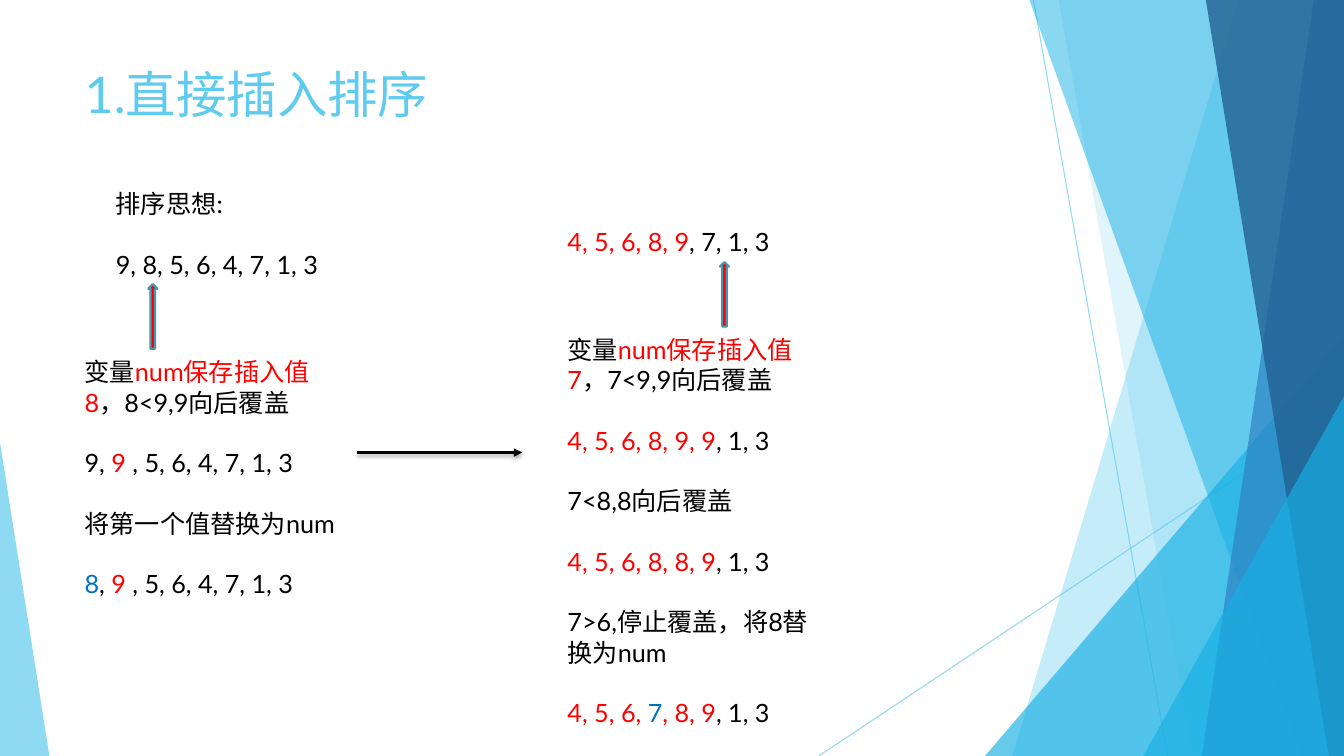
from lxml import etree
from pptx import Presentation
from pptx import util as u
from pptx.dml import color
from pptx.enum import shapes, text
from pptx.oxml import ns

WIDTH, HEIGHT = 13.33, 7.5
FONT = "Lato"
SKY, AZURE, OCEAN, NAVY = "5FCBEF", "17B0E4", "2E83C3", "226292"
BLACK, RED, BLUE, TEAL = "000000", "FF0000", "0070C0", "4696B1"
LINE_PITCH = 21.6


def rgb(code):
    return color.RGBColor.from_string(code)


def child(parent, tag, **attributes):
    return etree.SubElement(parent, ns.qn(tag), {k: str(v) for k, v in attributes.items()})


def paint(fill, code, opacity=100):
    """Fill with a solid colour; opacity is a percentage."""
    fill.solid()
    fill.fore_color.rgb = rgb(code)
    if opacity < 100:
        for node in fill._xPr.iter(ns.qn("a:srgbClr")):
            child(node, "a:alpha", val=opacity * 1000)


def add_span(para, words, size=18, code=BLACK):
    span = para.add_run()
    span.text = words
    span.font.name = FONT
    span.font.size = u.Pt(size)
    span.font.color.rgb = rgb(code)


def add_line(page, start, end, code, weight, opacity=100):
    line = page.shapes.add_connector(
        shapes.MSO_CONNECTOR.STRAIGHT, *map(u.Inches, start + end))
    line.line.width = u.Pt(weight)
    paint(line.line.fill, code, opacity)
    return line, child(line._element.spPr, "a:effectLst")


def add_panel(page, top_x, bottom_x, code, opacity):
    """Full-height panel from a slanted left edge to the right slide edge."""
    corners = [(top_x, 0), (WIDTH, 0), (WIDTH, HEIGHT), (bottom_x, HEIGHT)]
    points = [(u.Inches(x), u.Inches(y)) for x, y in corners]
    builder = page.shapes.build_freeform(*points[0])
    builder.add_line_segments(points[1:], close=True)
    panel = builder.convert_to_shape()
    panel.shadow.inherit = False
    paint(panel.fill, code, opacity)
    panel.line.fill.background()


def add_corner(page, left, top, width, apex, code, opacity):
    """Right triangle standing on the slide's bottom edge."""
    corner = page.shapes.add_shape(
        shapes.MSO_SHAPE.ISOSCELES_TRIANGLE,
        *map(u.Inches, (left, top, width, HEIGHT - top)))
    corner.adjustments[0] = apex
    corner.shadow.inherit = False
    paint(corner.fill, code, opacity)
    corner.line.fill.background()


def add_backdrop(page):
    add_line(page, (10.25, 0), (11.58, HEIGHT), SKY, 0.75, 70)
    add_line(page, (WIDTH, 4.03), (8.12, HEIGHT), SKY, 0.75, 70)
    add_panel(page, 12.28, 10.04, SKY, 36)
    add_panel(page, 10.5, 11.83, SKY, 20)
    add_corner(page, 9.77, 3.33, 3.56, 1, AZURE, 66)
    add_panel(page, 10.21, 12.91, AZURE, 50)
    add_panel(page, 13.03, 11.92, OCEAN, 70)
    add_panel(page, 11.96, 13.18, NAVY, 80)
    add_corner(page, 11.34, 3.93, 1.99, 1, AZURE, 66)
    add_corner(page, 0, 4.39, 0.49, 0, SKY, 70)


def add_title(page, words, left, top, width, height):
    title = page.shapes.title
    title.left, title.top, title.width, title.height = map(
        u.Inches, (left, top, width, height))
    frame = title.text_frame
    frame.auto_size = text.MSO_AUTO_SIZE.NONE
    frame.vertical_anchor = text.MSO_ANCHOR.TOP
    para = frame.paragraphs[0]
    para.alignment = text.PP_ALIGN.LEFT
    add_span(para, words, size=36, code=SKY)


def add_steps(page, steps, left, top, width, height):
    """Text box of steps one line apart; each step is a list of (words, colour)."""
    box = page.shapes.add_textbox(*map(u.Inches, (left, top, width, height)))
    frame = box.text_frame
    frame.word_wrap = True
    for index, step in enumerate(steps):
        para = frame.add_paragraph() if index else frame.paragraphs[0]
        if index:
            para.space_before = u.Pt(LINE_PITCH)
        for words, code in step:
            add_span(para, words, code=code)


def add_pointer(page, left, top):
    pointer = page.shapes.add_shape(
        shapes.MSO_SHAPE.UP_ARROW, *map(u.Inches, (left, top, 0.09, 0.64)))
    pointer.shadow.inherit = False
    paint(pointer.fill, RED)
    paint(pointer.line.fill, TEAL)
    pointer.line.width = u.Pt(1.5)


def add_next_arrow(page, start, end):
    arrow, effects = add_line(page, start, end, BLACK, 2)
    child(arrow.line._get_or_add_ln(), "a:tailEnd", type="triangle")
    shadow = child(effects, "a:outerShdw", blurRad=u.Pt(3), dist=u.Pt(2),
                   dir=90 * 60000, rotWithShape=0)
    child(child(shadow, "a:srgbClr", val=BLACK), "a:alpha", val=35000)


def add_first_pass(page, left, top):
    shifted = [("9 ", RED), (", 5, 6, 4, 7, 1, 3", BLACK)]
    add_steps(page, [
        [("排序思想:", BLACK)],
        [("9, 8, 5, 6, 4, 7, 1, 3", BLACK)],
    ], left + 0.31, top, 2.8, 1.31)
    add_pointer(page, left + 0.73, top + 1)
    add_steps(page, [
        [("变量", BLACK), ("num保存插入值8", RED), ("，8<9,9向后覆盖", BLACK)],
        [("9, ", BLACK)] + shifted,
        [("将第一个值替换为num", BLACK)],
        [("8", BLUE), (", ", BLACK)] + shifted,
    ], left, top + 1.67, 2.8, 3.13)


def add_later_pass(page, left, top):
    rest = (", 1, 3", BLACK)
    add_steps(page, [[("4, 5, 6, 8, 9", RED), (", 7, 1, 3", BLACK)]],
              left, top, 2.94, 0.4)
    add_pointer(page, left + 1.61, top + 0.4)
    add_steps(page, [
        [("变量", BLACK), ("num保存插入值7", RED), ("，7<9,9向后覆盖", BLACK)],
        [("4, 5, 6, 8, 9, 9", RED), rest],
        [("7<8,8向后覆盖", BLACK)],
        [("4, 5, 6, 8, 8, 9", RED), rest],
        [("7>6,停止覆盖，将8替换为num", BLACK)],
        [("4, 5, 6, ", RED), ("7", BLUE), (", 8, 9", RED), rest],
    ], left, top + 1.07, 2.8, HEIGHT - top - 1.07)


def main():
    deck = Presentation()
    deck.slide_width, deck.slide_height = u.Inches(WIDTH), u.Inches(HEIGHT)
    page = deck.slides.add_slide(deck.slide_layouts.get_by_name("Title Only"))
    add_backdrop(page)
    add_title(page, "1.直接插入排序", 0.74, 0.58, 9.4, 1.44)
    add_first_pass(page, 0.74, 1.82)
    add_later_pass(page, 5.53, 2.2)
    add_next_arrow(page, (3.54, 4.49), (5.18, 4.49))
    deck.save("out.pptx")


if __name__ == "__main__":
    main()
